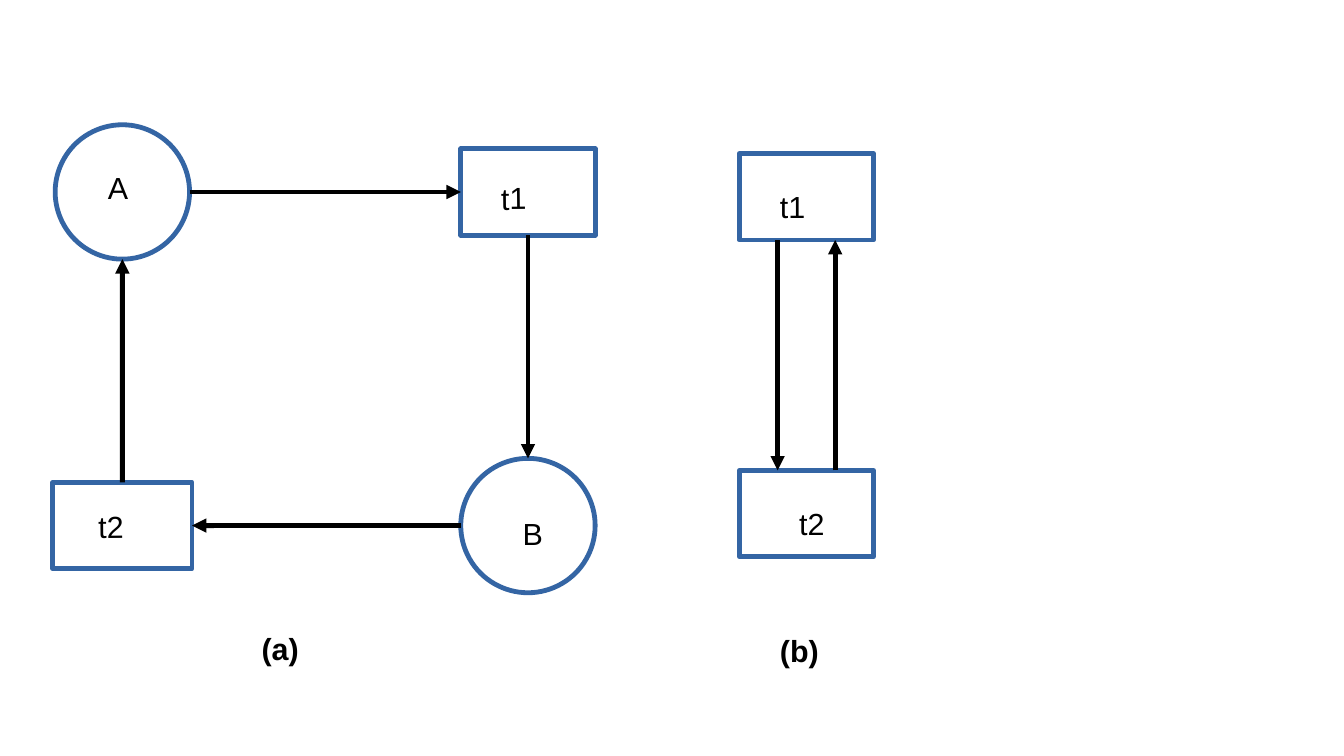
from pptx import Presentation
from pptx.dml.color import RGBColor
from pptx.enum.shapes import MSO_CONNECTOR, MSO_SHAPE
from pptx.oxml.ns import qn
from pptx.util import Cm, Pt
from lxml.etree import SubElement

COLOURS = {"outline": "3465A4", "ink": "000000"}
TOP, LEFT, BOTTOM, RIGHT = range(4)


class Diagram:
    """Draws nodes, arrows and labels on one slide; lengths are in centimetres."""

    font_name = "Arial"
    font_size = Pt(18)
    line_width = Pt(2.83)

    def __init__(self, slide):
        self.slide = slide

    def style_line(self, line, colour):
        line.color.rgb = RGBColor.from_string(COLOURS[colour])
        line.width = self.line_width

    def node(self, kind, left, top, width, height):
        shape = self.slide.shapes.add_shape(
            kind, Cm(left), Cm(top), Cm(width), Cm(height))
        shape.shadow.inherit = False
        shape.fill.background()
        self.style_line(shape.line, "outline")
        return shape

    def transition(self, left, top, width=2.8):
        return self.node(MSO_SHAPE.RECTANGLE, left, top, width, 1.8)

    def place(self, left, top):
        return self.node(MSO_SHAPE.OVAL, left, top, 2.8, 2.8)

    def arrow(self, start, end, source=None, target=None):
        """Draw an arrow; source and target are (shape, side) pairs to join."""
        connector = self.slide.shapes.add_connector(
            MSO_CONNECTOR.STRAIGHT, *(Cm(value) for value in start + end))
        if source:
            connector.begin_connect(*source)
        if target:
            connector.end_connect(*target)
        self.style_line(connector.line, "ink")
        line = connector.line._get_or_add_ln()
        SubElement(line, qn("a:tailEnd"), type="triangle")
        SubElement(connector._element.spPr, qn("a:effectLst"))

    def label(self, text, left, top, bold=False, rotation=0):
        box = self.slide.shapes.add_textbox(Cm(left), Cm(top), Cm(1.8), Cm(0.97))
        box.rotation = rotation
        box.text_frame.word_wrap = True
        run = box.text_frame.paragraphs[0].add_run()
        run.text = text
        run.font.name = self.font_name
        run.font.size = self.font_size
        run.font.bold = bold
        run.font.color.rgb = RGBColor.from_string(COLOURS["ink"])


def draw_petri_net(diagram):
    t2 = diagram.transition(1.1, 10.05, width=2.9)
    t1 = diagram.transition(9.6, 3.1)
    diagram.place(1.15, 2.6)
    place_b = diagram.place(9.6, 9.55)

    diagram.arrow((2.55, 10.05), (2.55, 5.4), source=(t2, TOP))
    diagram.arrow((3.95, 4), (9.6, 4), target=(t1, LEFT))
    diagram.arrow((11, 4.9), (11, 9.55), (t1, BOTTOM), (place_b, TOP))
    diagram.arrow((9.6, 10.95), (4, 10.95), target=(t2, RIGHT))

    diagram.label("t2", 1.8, 10.46, rotation=359.4)
    diagram.label("t1", 10.19, 3.61, rotation=359.4)
    diagram.label("A", 2, 3.4)
    diagram.label("B", 10.64, 10.6)
    diagram.label("(a)", 5.2, 13, bold=True)


def draw_transition_graph(diagram):
    for top in (3.2, 9.8):
        diagram.transition(15.4, top)
    diagram.arrow((16.2, 5), (16.2, 9.8))
    diagram.arrow((17.4, 9.8), (17.4, 5))

    diagram.label("t1", 16, 3.8)
    diagram.label("t2", 16.4, 10.4)
    diagram.label("(b)", 16, 13.04, bold=True)


def main():
    presentation = Presentation()
    presentation.slide_width = Cm(28)
    presentation.slide_height = Cm(15.75)
    blank_layout = presentation.slide_layouts[6]
    diagram = Diagram(presentation.slides.add_slide(blank_layout))
    draw_petri_net(diagram)
    draw_transition_graph(diagram)
    presentation.save("out.pptx")


if __name__ == "__main__":
    main()
